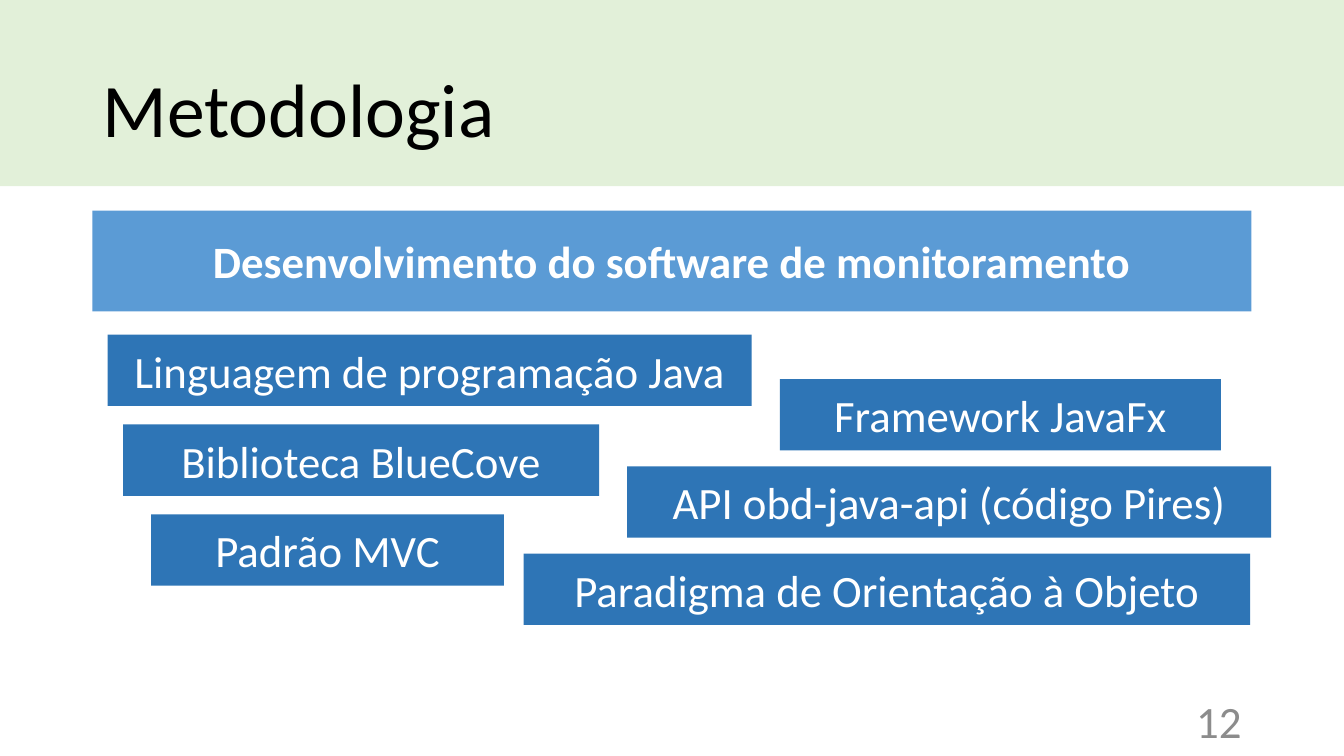
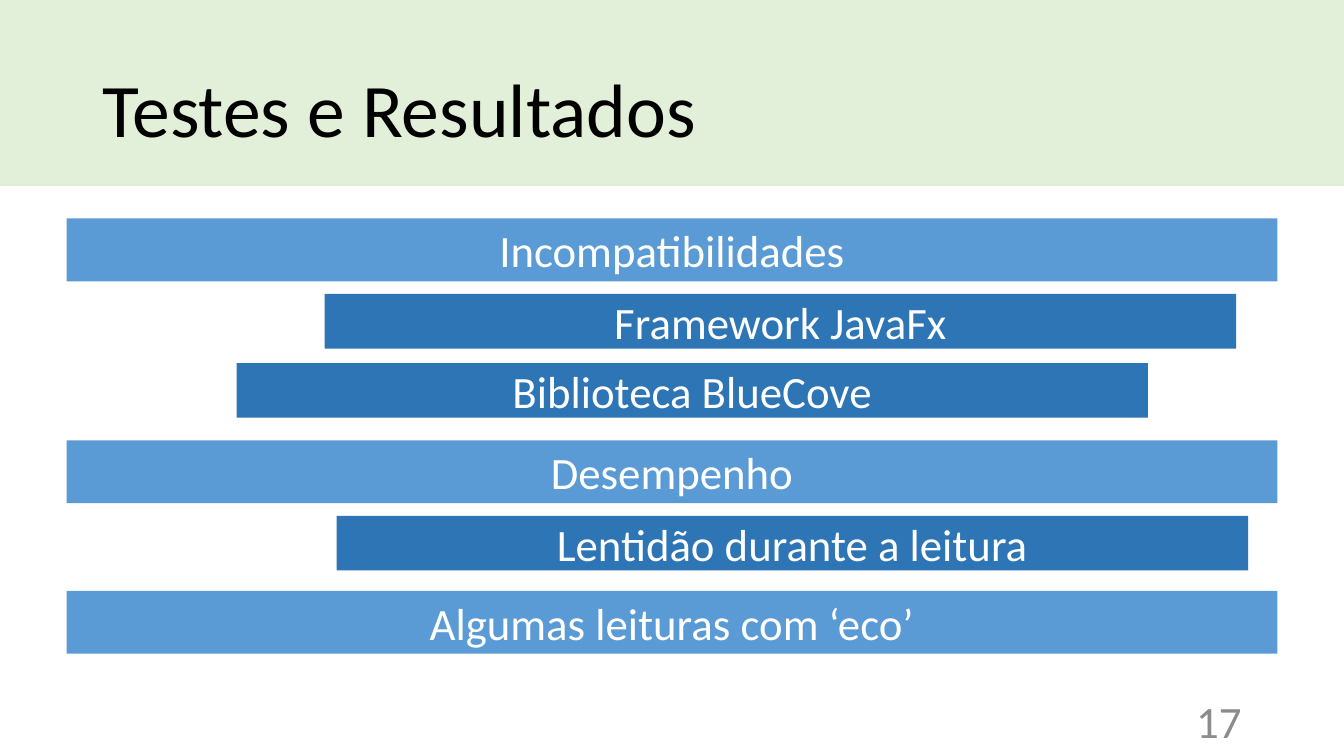
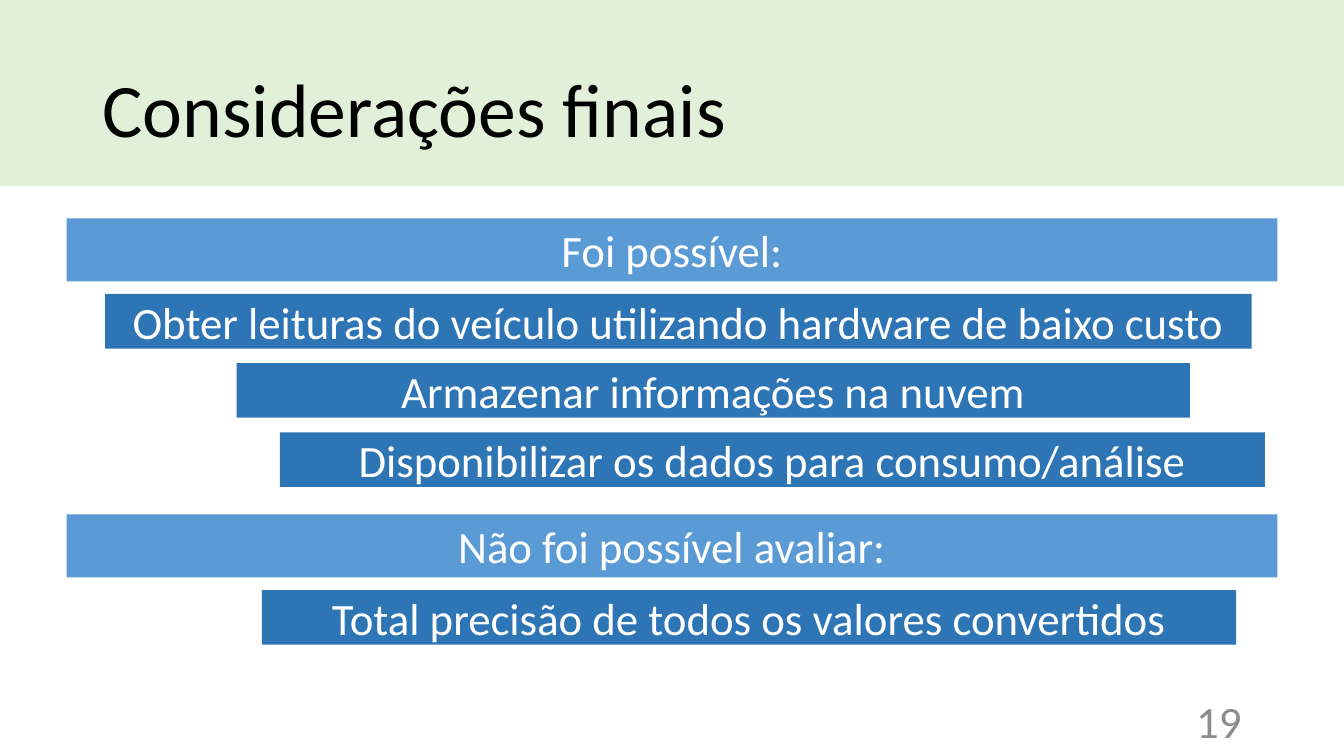
from pptx import Presentation
from pptx.dml.color import RGBColor
from pptx.enum import shapes, text
from pptx.util import Pt

HUE = {"band": "E2F0D9", "head": "5B9BD5", "item": "2E75B6",
       "title": "000000", "page": "8C8C8C", "label": "FFFFFF"}
FONT = "Calibri"
WIDE, HIGH = 960, 540

# Shared frames: left, top, width, height
BAND = (0, 0, WIDE, 133)
TITLE = (66, 29, 828, 104)
PAGE = (678, 500.5, 216, 29)

# Method slide: one topic over two staggered columns
TOPIC = ("Desenvolvimento do software de monitoramento", (66, 150.5, 828, 72))
TILE = 51
COLUMNS = [  # first top, step, then (text, left, width)
    (239, 64.2, [("Linguagem de programação Java", 77, 460),
                 ("Biblioteca BlueCove", 88, 340),
                 ("Padrão MVC", 108, 252)]),
    (270.8, 62.3, [("Framework JavaFx", 557, 315),
                   ("API obd-java-api (código Pires)", 448, 460),
                   ("Paradigma de Orientação à Objeto", 374, 519)]),
]

# Outline slides: (heading, top, items), each item (text, left, width)
HEAD, ITEM = 45, 39
GAP, STEP = 54, 49.4
EDGE = 47.5
OUTLINES = [
    ("Testes e Resultados", 17, [
        ("Incompatibilidades", 156, [("Framework JavaFx", 232, 651),
                                     ("Biblioteca BlueCove", 169, 651)]),
        ("Desempenho", 314.5, [("Lentidão durante a leitura", 240.5, 651)]),
        ("Algumas leituras com ‘eco’", 422, []),
    ]),
    ("Considerações finais", 19, [
        ("Foi possível:", 156, [
            ("Obter leituras do veículo utilizando hardware de baixo custo",
             75, 819),
            ("Armazenar informações na nuvem", 169, 681),
            ("Disponibilizar os dados para consumo/análise", 200, 703.5)]),
        ("Não foi possível avaliar:", 367.5, [
            ("Total precisão de todos os valores convertidos", 187, 696)]),
    ]),
]


def color(name):
    return RGBColor.from_string(HUE[name])


def write(shape, words, hue, size=32, bold=False, align="CENTER"):
    frame = shape.text_frame
    frame.text = words
    look = {"word_wrap": True, "auto_size": text.MSO_AUTO_SIZE.NONE,
            "vertical_anchor": text.MSO_ANCHOR.MIDDLE}
    for key, value in look.items():
        setattr(frame, key, value)
    line = frame.paragraphs[0]
    line.alignment = text.PP_ALIGN[align]
    face = {"name": FONT, "size": Pt(size), "bold": bold}
    for key, value in face.items():
        setattr(line.font, key, value)
    line.font.color.rgb = color(hue)
    return line


def block(slide, box, fill, words="", bold=False):
    shape = slide.shapes.add_shape(shapes.MSO_SHAPE.RECTANGLE, *map(Pt, box))
    shape.shadow.inherit = False
    shape.fill.solid()
    shape.fill.fore_color.rgb = color(fill)
    shape.line.fill.background()
    if words:
        write(shape, words, "label", bold=bold)
    return shape


def start(deck, name, page):
    """Add a slide with its band, title and page number."""
    slide = deck.slides.add_slide(deck.slide_layouts[5])
    title = slide.shapes.title
    band = block(slide, BAND, "band")
    title.element.addprevious(band.element)
    for key, value in zip(("left", "top", "width", "height"), TITLE):
        setattr(title, key, Pt(value))
    write(title, name, "title", 54, align="LEFT").line_spacing = 0.9
    note = slide.shapes.add_textbox(*map(Pt, PAGE))
    write(note, str(page), "page", align="RIGHT")
    return slide


def method(deck):
    slide = start(deck, "Metodologia", 12)
    words, box = TOPIC
    block(slide, box, "head", words, bold=True)
    for top, step, tiles in COLUMNS:
        for row, (words, left, width) in enumerate(tiles):
            block(slide, (left, top + row * step, width, TILE), "item", words)


def outline(deck, name, page, groups):
    slide = start(deck, name, page)
    for head, top, items in groups:
        block(slide, (EDGE, top, WIDE - 2 * EDGE, HEAD), "head", head)
        for row, (words, left, width) in enumerate(items):
            spot = top + GAP + row * STEP
            block(slide, (left, spot, width, ITEM), "item", words)


def main():
    deck = Presentation()
    deck.slide_width, deck.slide_height = Pt(WIDE), Pt(HIGH)
    method(deck)
    for plan in OUTLINES:
        outline(deck, *plan)
    deck.save("out.pptx")


if __name__ == "__main__":
    main()
